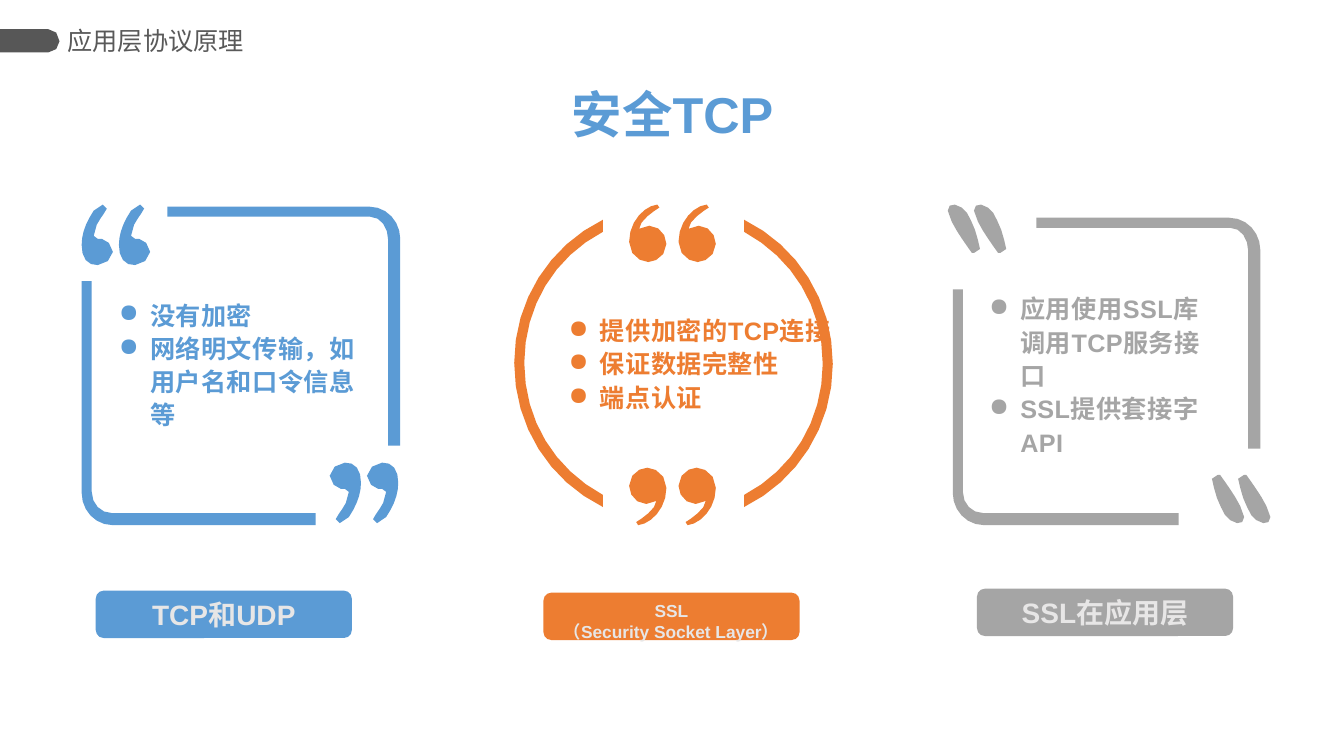
import dataclasses
import math

import pptx
import pptx.dml.color
import pptx.enum.shapes
import pptx.enum.text
import pptx.oxml
import pptx.oxml.ns
import pptx.util


@dataclasses.dataclass(frozen=True)
class Theme:
    font: str = "Arial"
    blue: str = "5B9BD5"
    orange: str = "ED7D31"
    gray: str = "A5A5A5"
    pale: str = "E7E6E6"
    tab: str = "575757"
    title: str = "595959"
    heading_size: float = 36
    label_size: float = 20
    body_size: float = 18
    small_size: float = 12.4


THEME = Theme()
ROWS = 750
CELL = pptx.util.Inches(7.5) // ROWS
STEP_LENGTH = 8
MOST_STEPS = 8
MIDDLE = pptx.enum.text.MSO_ANCHOR.MIDDLE
CENTER = pptx.enum.text.PP_ALIGN.CENTER

TAB = [(0, 0), (48, 0), (54, 0, 59, 5, 59, 12), (59, 18, 54, 23, 48, 23), (0, 23)]
ROUND_MARK = [
    (12, 31), (12, 33, 13, 34, 16, 34), (20, 34), (22, 34, 25, 35, 27, 38),
    (29, 40, 31, 43, 31, 47), (31, 50, 29, 54, 26, 56), (24, 59, 20, 60, 16, 60),
    (11, 60, 7, 59, 4, 55), (1, 51, 0, 46, 0, 40), (0, 29, 4, 18, 12, 6),
    (16, 2, 19, 0, 21, 0), (23, 0, 25, 1, 25, 4), (25, 5, 24, 7, 22, 9),
    (20, 12, 17, 16, 15, 20), (13, 25, 12, 28, 12, 31)]
COMMA_MARK = [
    (37, 39), (37, 51, 26, 57, 19, 57), (11, 57, 0, 50, 0, 37),
    (0, 16, 16, 1, 28, 0), (30, 3), (25, 6, 10, 16, 10, 24),
    (13, 22, 15, 21, 20, 21), (30, 21, 37, 30, 37, 39)]
SLANTED_MARK = [
    (2, 1), (7, 0), (14, 3), (19, 8), (22, 13, 24, 18, 27, 25),
    (29, 32, 31, 38, 32, 44), (29, 46), (26, 48), (24, 48),
    (19, 41, 14, 34, 9, 26), (4, 17), (1, 14, 0, 10, 0, 6)]
ARC = [
    (10, 142), (10, 86, 40, 37, 88, 12), (88, 0), (35, 26, 0, 80, 0, 142),
    (0, 205, 35, 259, 88, 285), (88, 273), (40, 247, 10, 199, 10, 142)]


def bracket(width, height, side, bar):
    inner = height - bar
    return [(0, 0), (0, height - 32), (0, height - 15, 13, height, 31, height),
            (width, height), (width, inner), (30, inner),
            (19, inner, side, height - 21, side, height - 33), (side, 0)]


def trace(outline):
    points = []
    for step in outline:
        if len(step) == 2:
            points.append(step)
            continue
        controls = [points[-1], step[:2], step[2:4], step[4:]]
        chord = math.dist(controls[0], controls[3])
        count = min(MOST_STEPS, max(1, round(chord / STEP_LENGTH)))
        for index in range(1, count + 1):
            t = index / count
            weights = ((1 - t) ** 3, 3 * t * (1 - t) ** 2, 3 * t * t * (1 - t), t ** 3)
            points.append(tuple(sum(weight * control[axis] for weight, control
                                    in zip(weights, controls)) for axis in (0, 1)))
    return points


def shift(points, left, top):
    return [(x + left, y + top) for x, y in points]


def turn(points, width, height):
    return [(width - x, height - y) for x, y in points]


def color(value):
    return pptx.dml.color.RGBColor.from_string(value)


def cells(*values):
    return [round(value * CELL) for value in values]


def paint(shape, fill):
    shape.shadow.inherit = False
    shape.fill.solid()
    shape.fill.fore_color.rgb = color(fill)
    shape.line.fill.background()


def draw(page, contours, fill):
    placed = [[tuple(cells(*point)) for point in points] for points in contours]
    builder = page.shapes.build_freeform(*placed[0][0])
    for number, points in enumerate(placed):
        if number:
            builder.move_to(*points[0])
        builder.add_line_segments(points[1:], close=True)
    paint(builder.convert_to_shape(), fill)


def write(box, text, size, fill, bold=True, align=None, anchor=None, insets=(10, 5), bullets=False):
    frame = box.text_frame
    frame.text = text
    frame.word_wrap = True
    frame.auto_size = pptx.enum.text.MSO_AUTO_SIZE.NONE
    frame.vertical_anchor = anchor or pptx.enum.text.MSO_ANCHOR.TOP
    frame.margin_left = frame.margin_right = insets[0] * CELL
    frame.margin_top = frame.margin_bottom = insets[1] * CELL
    for para in frame.paragraphs:
        para.alignment = align
        if bullets:
            para.line_spacing = 1.1
            settings = para._p.get_or_add_pPr()
            settings.set("marL", str(31 * CELL))
            settings.set("indent", str(-31 * CELL))
            mark = pptx.oxml.parse_xml(
                f'<a:buChar {pptx.oxml.ns.nsdecls("a")} char="●"/>')
            settings.append(mark)
        for span in para.runs:
            span.font.name = THEME.font
            span.font.size = pptx.util.Pt(size)
            span.font.bold = bold
            span.font.color.rgb = color(fill)
            if bullets:
                span._r.get_or_add_rPr().set("spc", "30")


def header(page, left, top, text):
    draw(page, [shift(trace(TAB), left, top)], THEME.tab)
    title = page.shapes.title
    title.left, title.top, title.width, title.height = cells(left + 67, top - 10, 233, 42)
    write(title, text, THEME.body_size, THEME.title, False,
          pptx.enum.text.PP_ALIGN.LEFT, MIDDLE, (0, 5))


def heading(page, box, text):
    write(page.shapes.add_textbox(*cells(*box)), text,
          THEME.heading_size, THEME.blue, align=CENTER)


def bracket_frame(lower, upper):
    parts = []
    for (left, top, width, height), side, bar, turned in (
            (lower, 10, 12, False), (upper, 12, 10, True)):
        points = trace(bracket(width, height, side, bar))
        parts.append(shift(turn(points, width, height) if turned else points, left, top))
    return parts


def circle_frame():
    points = trace(ARC)
    return [shift(points, 0, 15), shift(turn(points, 88, 285), 228, 15)]


def quote_panel(page, box, fill, frame, mark, mark_left, mark_step, body, lines,
                label, label_at, label_size=THEME.label_size):
    left, top, width, height = box
    for points in frame:
        draw(page, [shift(points, left, top)], fill)
    opening = [shift(trace(mark), mark_left + offset, 0) for offset in (0, mark_step)]
    closing = [turn(points, width, height) for points in opening]
    for pair in (opening, closing):
        draw(page, [shift(points, left, top) for points in pair], fill)
    body_left, body_top, body_width, body_height = body
    text_box = page.shapes.add_textbox(
        *cells(left + body_left, top + body_top, body_width, body_height))
    write(text_box, "\n".join(lines), THEME.body_size, fill,
          anchor=MIDDLE, insets=(3, 3), bullets=True)
    plate = page.shapes.add_shape(
        pptx.enum.shapes.MSO_SHAPE.ROUNDED_RECTANGLE,
        *cells(left + label_at[0], top + label_at[1], 254, 47))
    paint(plate, fill)
    write(plate, label, label_size, THEME.pale, align=CENTER)


def main():
    deck = pptx.Presentation()
    deck.slide_width = pptx.util.Inches(13.33)
    deck.slide_height = ROWS * CELL
    page = deck.slides.add_slide(deck.slide_layouts.get_by_name("Title Only"))
    header(page, 0, 29, "应用层协议原理")
    heading(page, (556, 78, 222, 71), "安全TCP")
    quote_panel(page, (81, 203, 314, 316), THEME.blue,
                bracket_frame((0, 76, 232, 242), (85, 2, 231, 237)),
                ROUND_MARK, 0, 37, (34, 89, 247, 137),
                ["没有加密", "网络明文传输，如用户名和口令信息等"],
                "TCP和UDP", (14, 383))
    quote_panel(page, (510, 203, 314, 318), THEME.orange, circle_frame(),
                COMMA_MARK, 114, 49, (51, 105, 269, 103),
                ["提供加密的TCP连接", "保证数据完整性", "端点认证"],
                "SSL\v（Security Socket Layer）", (29, 385), THEME.small_size)
    quote_panel(page, (940, 203, 320, 316), THEME.gray,
                bracket_frame((5, 84, 224, 234), (88, 13, 222, 229)),
                SLANTED_MARK, 0, 26, (38, 83, 236, 170),
                ["应用使用SSL库调用TCP服务接口", "SSL提供套接字API"],
                "SSL在应用层", (29, 381))
    deck.save("out.pptx")


if __name__ == "__main__":
    main()
